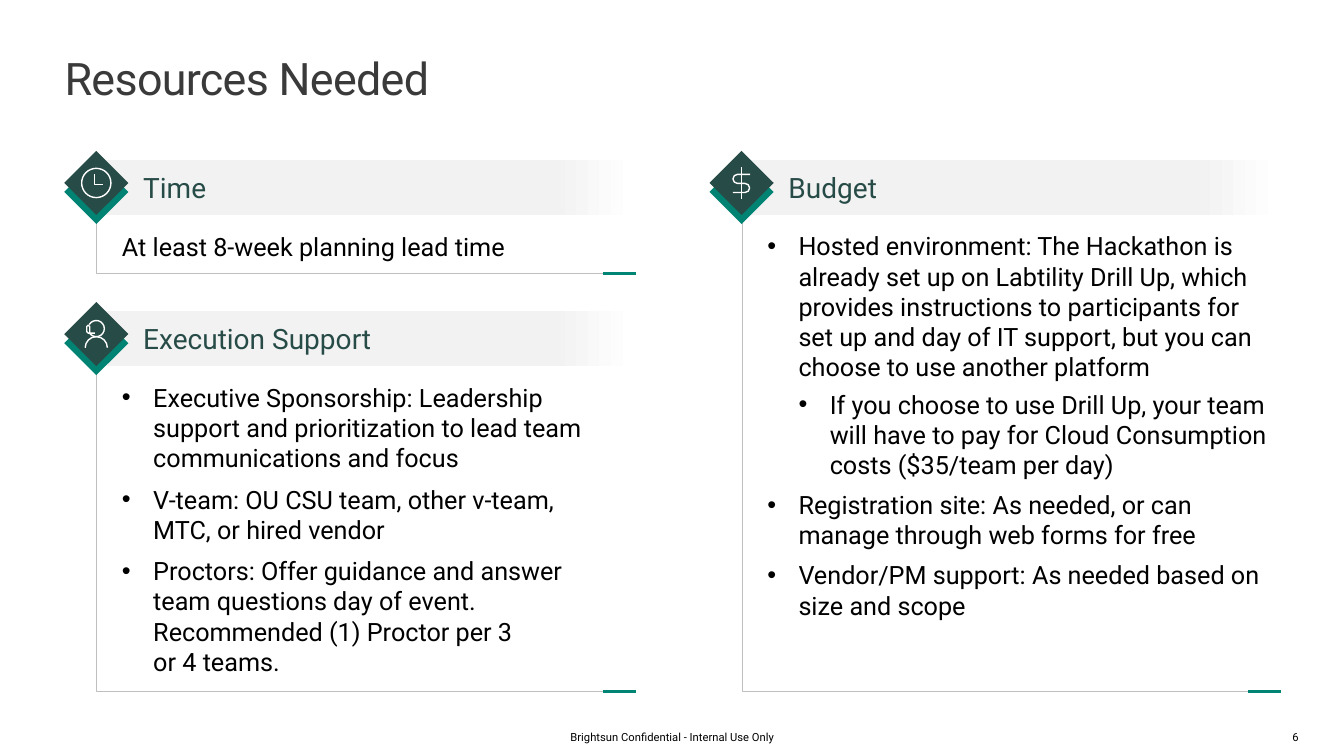
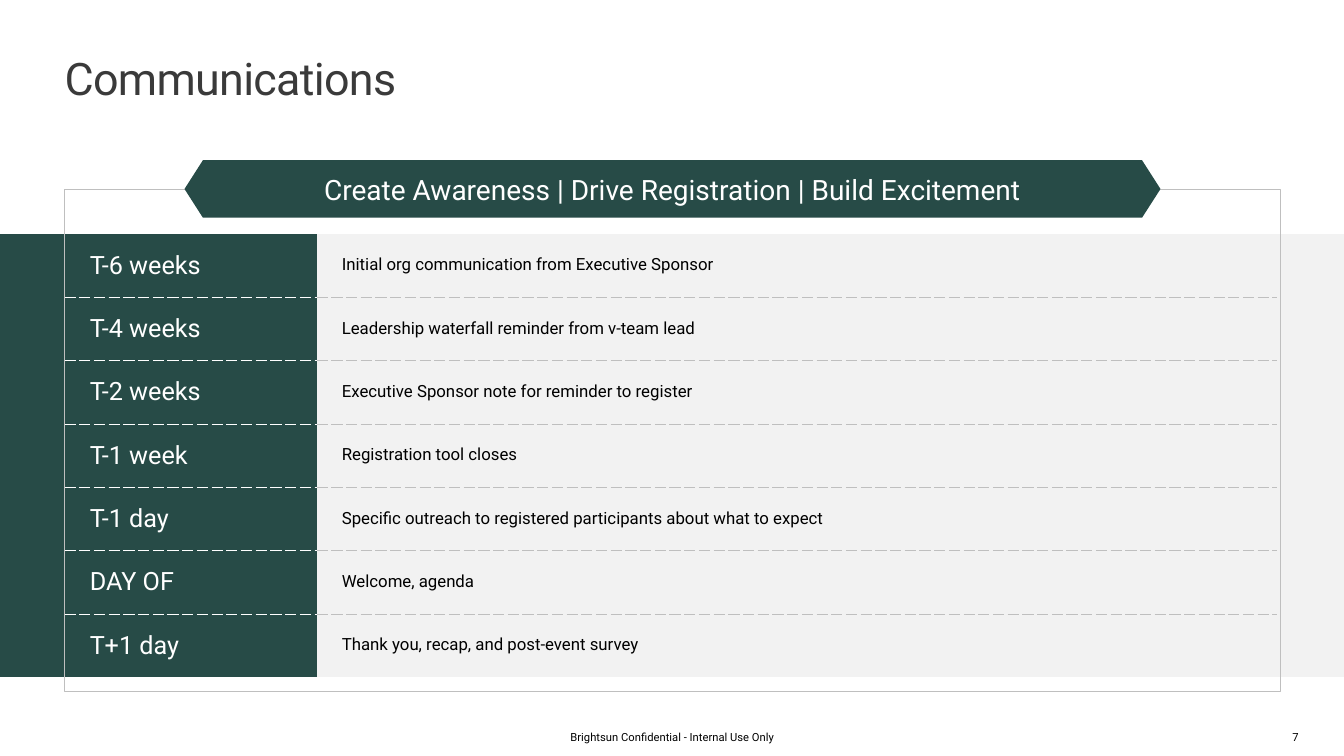
import math

from lxml import etree
from pptx import Presentation
from pptx.dml.color import RGBColor
from pptx.enum import shapes, text
from pptx.oxml import ns
from pptx.util import Inches, Pt

FONT = "Roboto"
DARK_GREEN = RGBColor(0x27, 0x4B, 0x47)
TEAL = RGBColor(0x00, 0x83, 0x72)
ACCENT = RGBColor(0x00, 0x85, 0x75)
TITLE_GRAY = RGBColor(0x3A, 0x3A, 0x3A)
LINE_GRAY = RGBColor(0xBF, 0xBF, 0xBF)
PALE_GRAY = RGBColor(0xF2, 0xF2, 0xF2)
WHITE = RGBColor(0xFF, 0xFF, 0xFF)
BLACK = RGBColor(0, 0, 0)

SLIDE_WIDTH, SLIDE_HEIGHT = 13.33, 7.5
MARGIN = 0.64
CONTENT_TOP = 1.59
CONTENT_BOTTOM = 6.86
HEADER_HEIGHT = 0.54
PLAIN_TABLE_STYLE = "{2D5ABB26-0587-4C30-8999-92F81FD0307C}"


# Shared helpers
def place(shape, left, top, width, height):
    shape.left, shape.top = Inches(left), Inches(top)
    shape.width, shape.height = Inches(width), Inches(height)


def set_frame(frame, insets=(0, 0, 0, 0), anchor=text.MSO_ANCHOR.TOP):
    frame.word_wrap = True
    frame.auto_size = text.MSO_AUTO_SIZE.NONE
    frame.vertical_anchor = anchor
    (frame.margin_left, frame.margin_top,
     frame.margin_right, frame.margin_bottom) = map(Inches, insets)


def format_paragraph(paragraph, size, color, align=text.PP_ALIGN.LEFT):
    paragraph.alignment = align
    for run in paragraph.runs:
        run.font.name, run.font.size = FONT, Pt(size)
        run.font.color.rgb = color


def set_line(shape, color=None, width=0.5):
    if color is None:
        shape.line.fill.background()
    else:
        shape.line.color.rgb = color
        shape.line.width = Pt(width)


def set_solid_fill(target, color):
    target.fill.solid()
    target.fill.fore_color.rgb = color


def add_block(slide, kind, box, fill=None, line=None):
    shape = slide.shapes.add_shape(kind, *map(Inches, box))
    shape.shadow.inherit = False
    if fill is None:
        shape.fill.background()
    else:
        set_solid_fill(shape, fill)
    set_line(shape, line)
    return shape


def add_outline(slide, strokes, color, width):
    """Draw open strokes, each a list of points in inches, as one shape."""
    points = [[(Inches(x), Inches(y)) for x, y in stroke] for stroke in strokes]
    builder = slide.shapes.build_freeform(*points[0][0])
    for index, stroke in enumerate(points):
        if index:
            builder.move_to(*stroke[0])
        builder.add_line_segments(stroke[1:], close=False)
    shape = builder.convert_to_shape()
    shape.shadow.inherit = False
    shape.fill.background()
    set_line(shape, color, width)
    return shape


def add_label(slide, box, label):
    textbox = slide.shapes.add_textbox(*map(Inches, box))
    set_frame(textbox.text_frame, anchor=text.MSO_ANCHOR.MIDDLE)
    textbox.text_frame.text = label
    format_paragraph(textbox.text_frame.paragraphs[0], 8, BLACK, text.PP_ALIGN.CENTER)


def add_titled_slide(presentation, title_text, number):
    slide = presentation.slides.add_slide(presentation.slide_layouts[5])
    title = slide.shapes.title
    place(title, MARGIN, 0.5, 12.05, 0.54)
    set_frame(title.text_frame)
    title.text_frame.text = title_text
    paragraph = title.text_frame.paragraphs[0]
    format_paragraph(paragraph, 32, TITLE_GRAY)
    paragraph.runs[0].font._element.set("spc", "-50")
    add_label(slide, (4.42, 7.25, 4.5, 0.13), "Brightsun Confidential - Internal Use Only")
    add_label(slide, (12.73, 7.25, 0.24, 0.13), str(number))
    return slide


# Icons: a start point, then three Bezier points a segment, around the centre
def line(*corners):
    return [corner for corner in corners for _ in range(3)]


def arc(x, y, radius, start, end):
    count = math.ceil(abs(end - start) / 90)
    step = math.radians(end - start) / count
    reach = 4 / 3 * math.tan(step / 4)
    points = []
    for index in range(count):
        a = math.radians(start) + index * step
        b = a + step
        points += [(x + radius * (math.cos(angle) - pull * math.sin(angle)),
                    y + radius * (math.sin(angle) + pull * math.cos(angle)))
                   for angle, pull in ((a, reach), (b, -reach), (b, 0))]
    return points


CLOCK = [
    [(0.145, 0), *arc(0, 0, 0.145, 0, 360)],
    [(-0.015, -0.085), *line((-0.015, 0.015), (0.065, 0.015))],
]
DOLLAR = [
    [(-0.085, 0.095), *line((0.035, 0.095)), *arc(0.035, 0.05, 0.045, 90, -90),
     *line((-0.04, 0.005)), *arc(-0.04, -0.04, 0.045, 90, 270), *line((0.085, -0.085))],
    [(0, -0.155), *line((0, 0.155))],
]
HEADSET_PERSON = [
    [(-0.11, 0.135), *arc(0, 0.135, 0.11, 180, 360)],
    [(-0.065, -0.015), *line((-0.065, -0.075)), *arc(-0.08, -0.075, 0.015, 0, -180),
     *line((-0.095, -0.025)), *arc(-0.08, -0.025, 0.015, 180, 90),
     *line((-0.015, -0.01))],
    [(-0.07, -0.015), *arc(0, -0.055, 0.08, 150, -150)],
]


def add_icon(slide, center_x, center_y, icon):
    strokes = [[(center_x + x, center_y + y) for x, y in stroke] for stroke in icon]
    shape = add_outline(slide, strokes, WHITE, 1)
    segments = list(shape._element.iter(ns.qn("a:lnTo")))
    for first, second, third in zip(segments[::3], segments[1::3], segments[2::3]):
        curve = etree.Element(ns.qn("a:cubicBezTo"))
        first.addprevious(curve)
        for segment in (first, second, third):
            curve.append(segment[0])
            segment.getparent().remove(segment)


# Resource cards
def add_bullet(paragraph, level):
    properties = paragraph._p.get_or_add_pPr()
    properties.set("marL", str(Inches(0.31 * level)))
    properties.set("indent", str(Inches(-0.31)))
    etree.SubElement(properties, ns.qn("a:buFont")).set("typeface", "Arial")
    etree.SubElement(properties, ns.qn("a:buChar")).set("char", "•")


def fill_card_body(frame, items, gap):
    """Level 0 is plain text; levels 1 and 2 are bullets."""
    for index, (level, item) in enumerate(items):
        paragraph = frame.add_paragraph() if index else frame.paragraphs[0]
        paragraph.text = item
        if level:
            add_bullet(paragraph, level)
        if index:
            paragraph.space_before = Pt(1 if level == 2 else gap)
        paragraph.space_after = Pt(4 if level else gap)
        format_paragraph(paragraph, 18, BLACK)


def add_card_header(slide, left, top, width, heading, icon):
    header = add_block(slide, shapes.MSO_SHAPE.RECTANGLE,
                       (left - 0.02, top, width, HEADER_HEIGHT))
    header.fill.gradient()
    header.fill.gradient_angle = 0
    stops = header.fill.gradient_stops
    for stop, position, color in zip(stops, (0.85, 1), (PALE_GRAY, WHITE)):
        stop.position = position
        stop.color.rgb = color
    set_frame(header.text_frame, (0.48, 0.05, 0.1, 0.05), text.MSO_ANCHOR.MIDDLE)
    header.text_frame.text = heading
    format_paragraph(header.text_frame.paragraphs[0], 20, DARK_GREEN)

    # Diamond badge with its icon
    side = 0.45
    for offset, color in ((0.09, TEAL), (0, DARK_GREEN)):
        diamond = add_block(slide, shapes.MSO_SHAPE.RECTANGLE,
                            (left - 0.23, top + offset, side, side), color)
        diamond.rotation = 45
    add_icon(slide, left - 0.23 + side / 2, top + side / 2, icon)


def add_card(slide, box, heading, icon, items, gap=3, right_inset=0.2):
    left, top, width, height = box
    right, bottom = left + width, top + height
    corner = [(left, top + HEADER_HEIGHT), (left, bottom), (right, bottom)]
    body = add_outline(slide, [corner], LINE_GRAY, 0.5)
    set_frame(body.text_frame, (0.25, 0.16, right_inset, 0.16))
    fill_card_body(body.text_frame, items, gap)
    add_card_header(slide, left, top, width, heading, icon)
    accent = slide.shapes.add_connector(
        shapes.MSO_CONNECTOR.STRAIGHT, Inches(right - 0.33), Inches(bottom),
        Inches(right), Inches(bottom))
    set_line(accent, ACCENT, 2.25)
    etree.SubElement(accent._element.spPr, ns.qn("a:effectLst"))


def build_resources(presentation):
    slide = add_titled_slide(presentation, "Resources Needed", 6)
    left, right, width = 0.96, 7.36, 5.35
    support_top = 3.09
    add_card(slide, (left, CONTENT_TOP, width, 1.12), "Time", CLOCK,
             [(0, "At least 8-week planning lead time")])
    add_card(slide, (left, support_top, width, CONTENT_BOTTOM - support_top),
             "Execution Support", HEADSET_PERSON, [
        (1, "Executive Sponsorship: Leadership support and prioritization to lead "
            "team communications and focus"),
        (1, "V-team: OU CSU team, other v-team, MTC, or hired vendor"),
        (1, "Proctors: Offer guidance and answer team questions day of event. "
            "Recommended (1) Proctor per 3\vor 4 teams."),
    ], gap=4)
    add_card(slide, (right, CONTENT_TOP, width, CONTENT_BOTTOM - CONTENT_TOP),
             "Budget", DOLLAR, [
        (1, "Hosted environment: The Hackathon is already set up on Labtility Drill Up, "
            "which provides instructions to participants for set up and day of IT "
            "support, but you can choose to use another platform"),
        (2, "If you choose to use Drill Up, your team will have to pay for Cloud "
            "Consumption costs ($35/team per day)"),
        (1, "Registration site: As needed, or can manage through web forms for free"),
        (1, "Vendor/PM support: As needed based on size and scope"),
    ], right_inset=0.1)


# Communications timeline
def add_plain_table(slide, box, row_count, widths):
    graphic = slide.shapes.add_table(row_count, len(widths), *map(Inches, box))
    table = graphic.table
    table.first_row = table.horz_banding = False
    table._tbl.tblPr.find(ns.qn("a:tableStyleId")).text = PLAIN_TABLE_STYLE
    for column, width in zip(table.columns, widths):
        column.width = Inches(width)
    return table


def add_cell_rule(cell, edge, color):
    rule = etree.Element(ns.qn("a:" + edge), w=str(Pt(0.5)))
    fill = etree.SubElement(rule, ns.qn("a:solidFill"))
    etree.SubElement(fill, ns.qn("a:srgbClr")).set("val", str(color))
    etree.SubElement(rule, ns.qn("a:prstDash")).set("val", "sysDash")
    cell._tc.get_or_add_tcPr().insert(0, rule)


def add_timeline(slide, box, label_width, rows):
    table = add_plain_table(slide, box, len(rows), (label_width, box[2] - label_width))
    styles = ((18, WHITE, DARK_GREEN, WHITE), (12, BLACK, PALE_GRAY, LINE_GRAY))
    for row_index, row in enumerate(rows):
        for column, (size, color, fill, rule) in enumerate(styles):
            cell = table.cell(row_index, column)
            cell.text = row[column]
            cell.margin_left = Inches(0.25)
            cell.vertical_anchor = text.MSO_ANCHOR.MIDDLE
            set_solid_fill(cell, fill)
            paragraph = cell.text_frame.paragraphs[0]
            format_paragraph(paragraph, size, color)
            if column:
                paragraph.line_spacing = 0.9
            if row_index < len(rows) - 1:
                add_cell_rule(cell, "lnB", rule)
            if row_index:
                add_cell_rule(cell, "lnT", rule)


def build_communications(presentation):
    slide = add_titled_slide(presentation, "Communications", 7)
    table_top, table_height = 2.32, 4.4

    # Bands that carry the table to both slide edges
    band_width = 2.09
    for left, color in ((0, DARK_GREEN), (SLIDE_WIDTH - band_width, PALE_GRAY)):
        band = add_plain_table(slide, (left, table_top, band_width, table_height),
                               1, [band_width])
        set_solid_fill(band.cell(0, 0), color)

    add_timeline(slide, (MARGIN, table_top, 12.03, table_height), 2.5, [
        ("T-6 weeks", "Initial org communication from Executive Sponsor"),
        ("T-4 weeks", "Leadership waterfall reminder from v-team lead"),
        ("T-2 weeks", "Executive Sponsor note for reminder to register"),
        ("T-1 week", "Registration tool closes"),
        ("T-1 day", "Specific outreach to registered participants about what to expect"),
        ("DAY OF", "Welcome, agenda"),
        ("T+1 day", "Thank you, recap, and post-event survey"),
    ])

    # Frame and banner
    add_block(slide, shapes.MSO_SHAPE.RECTANGLE, (MARGIN, 1.88, 12.06, 4.98), line=LINE_GRAY)
    banner = add_block(slide, shapes.MSO_SHAPE.HEXAGON,
                       (1.83, CONTENT_TOP, 9.68, 0.57), DARK_GREEN)
    banner.adjustments[0] = 0.32
    set_frame(banner.text_frame, (0.1, 0.05, 0.1, 0.05), text.MSO_ANCHOR.MIDDLE)
    banner.text_frame.text = "Create Awareness | Drive Registration | Build Excitement"
    format_paragraph(banner.text_frame.paragraphs[0], 20, WHITE, text.PP_ALIGN.CENTER)


def main():
    presentation = Presentation()
    presentation.slide_width = Inches(SLIDE_WIDTH)
    presentation.slide_height = Inches(SLIDE_HEIGHT)
    build_resources(presentation)
    build_communications(presentation)
    presentation.save("out.pptx")


if __name__ == "__main__":
    main()
